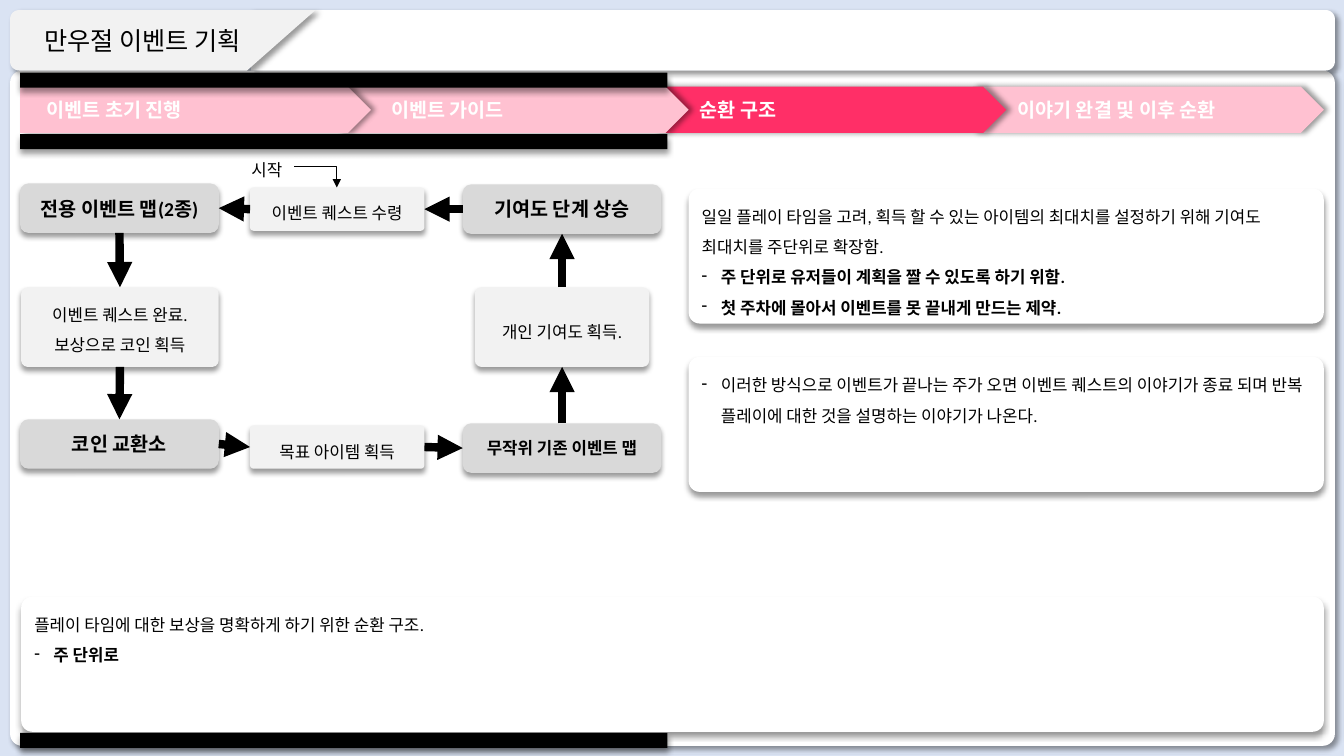
import math
from lxml import etree
from pptx import Presentation
from pptx import util as u
from pptx.dml.color import RGBColor
from pptx.enum import shapes, text
from pptx.oxml.ns import qn

FONT = "Calibri"
BLACK, WHITE, PINK, HOT_PINK = "000000", "FFFFFF", "FFC1D1", "FF2F67"
LIGHT, GREY, PALE_BLUE = "F2F2F2", "D9D9D9", "DAE3F3"
SHAPE, ALIGN, ANCHOR = shapes.MSO_SHAPE, text.PP_ALIGN, text.MSO_ANCHOR
TOP, LEFT, BOTTOM, RIGHT = range(4)  # connection sites of a rounded rectangle
ROUND = 0.082


def color(value):
    return RGBColor.from_string(value)


def add_shadow(sp, angle):
    """Give a shape a soft black shadow cast at the angle in degrees."""
    sp.shadow.inherit = False
    effects = sp._element.spPr.find(qn("a:effectLst"))
    shadow = etree.SubElement(effects, qn("a:outerShdw"), blurRad=str(u.Pt(4)), dist=str(u.Pt(3)),
                              dir=str(angle * 60000), algn="ctr", rotWithShape="0")
    rgb = etree.SubElement(shadow, qn("a:srgbClr"), val=BLACK)
    etree.SubElement(rgb, qn("a:alpha"), val="40000")


def paint(sp, fill, angle):
    sp.line.fill.background()
    if fill is None:
        sp.fill.background()
        sp.shadow.inherit = False
    else:
        sp.fill.solid()
        sp.fill.fore_color.rgb = color(fill)
        add_shadow(sp, angle)


def add_box(s, kind, box, fill, angle=90, adj=None):
    sp = s.shapes.add_shape(kind, *map(u.Inches, box))
    for i, value in enumerate(adj or []):
        sp.adjustments[i] = value
    paint(sp, fill, angle)
    return sp


def write(sp, lines, align=ALIGN.LEFT, anchor=ANCHOR.TOP, spacing=None, left=0.1, **font):
    """Fill a shape with lines; a line starting with "- " becomes a bold or plain bullet."""
    tf = sp.text_frame
    frame = dict(word_wrap=True, auto_size=text.MSO_AUTO_SIZE.NONE, vertical_anchor=anchor,
                 margin_left=u.Inches(left))
    for name, value in frame.items():
        setattr(tf, name, value)
    for i, (line, bold) in enumerate(lines):
        p = tf.add_paragraph() if i else tf.paragraphs[0]
        if line.startswith("- "):
            pPr = p._p.get_or_add_pPr()
            pPr.set("marL", str(u.Inches(0.19)))
            pPr.set("indent", str(-u.Inches(0.19)))
            etree.SubElement(pPr, qn("a:buChar"), char="-")
            line = line[2:]
        p.alignment = align
        if spacing:
            p.line_spacing = spacing
        r = p.add_run()
        r.text = line
        style = dict(name=FONT, size=u.Pt(font.get("size", 12)), bold=bold)
        for name, value in style.items():
            setattr(r.font, name, value)
        r.font.color.rgb = color(font.get("fill", BLACK))


def corner(cx, cy, start, r=0.09):
    """Points of a clockwise quarter circle."""
    angles = [math.radians(start + 15 * i) for i in range(7)]
    return [(cx + r * math.cos(a), cy + r * math.sin(a)) for a in angles]


def add_outline(s, points, fill):
    points = [(u.Inches(px), u.Inches(py)) for px, py in points]
    builder = s.shapes.build_freeform(*points[0])
    builder.add_line_segments(points[1:], close=True)
    paint(builder.convert_to_shape(), fill, 45)


def add_header(s, x, y, w, h, title):
    r, right, bottom = 0.09, x + w, y + h
    add_outline(s, [(x + 2.39, y), *corner(right - r, y + r, 270),
                    *corner(right - r, bottom - r, 0), (x + 2.39, bottom)], WHITE)
    add_outline(s, [(x + 3.03, y), (x + 2.35, bottom), *corner(x + r, bottom - r, 90),
                    *corner(x + r, y + r, 180)], LIGHT)
    sp = s.shapes.title
    sp._element.getparent().append(sp._element)  # bring the title in front of the header
    place = dict(left=x + 0.01, top=y + 0.02, width=2.61, height=h - 0.03)
    for name, value in place.items():
        setattr(sp, name, u.Inches(value))
    write(sp, [(title, False)], ALIGN.CENTER, ANCHOR.MIDDLE, size=18)


def add_steps(s, x, y, w, h, steps, active):
    """Overlapping chevrons, the first one on top."""
    step_w = 3.48
    pitch = (w - step_w) / (len(steps) - 1)
    for i, (label, indent) in reversed(list(enumerate(steps))):
        sp = add_box(s, SHAPE.RIGHT_ARROW, (x + i * pitch, y, step_w, h),
                     HOT_PINK if i == active else PINK, 0, [1, 0.5])
        write(sp, [(label, True)], anchor=ANCHOR.MIDDLE, left=indent, size=14, fill=WHITE)


def add_bars(s, x, w, tops):
    for top in tops:
        add_box(s, SHAPE.RECTANGLE, (x, top, w, 0.15), BLACK)


def add_note(s, box, lines):
    sp = add_box(s, SHAPE.ROUNDED_RECTANGLE, box, WHITE, adj=[ROUND])
    write(sp, lines, spacing=1.5)


def add_arrow(s, kind, width, ends=(0, 0, 0, 0)):
    c = s.shapes.add_connector(kind, *map(u.Inches, ends))
    c.line.color.rgb = color(BLACK)
    c.line.width = u.Pt(width)
    etree.SubElement(c.line._get_or_add_ln(), qn("a:tailEnd"), type="triangle")
    etree.SubElement(c._element.spPr, qn("a:effectLst"))
    return c


def add_place(s, box, label, size=14):
    sp = add_box(s, SHAPE.ROUNDED_RECTANGLE, box, GREY)
    write(sp, [(label, True)], ALIGN.CENTER, ANCHOR.MIDDLE, size=size)
    return sp


def add_action(s, box, label, anchor=ANCHOR.TOP):
    sp = add_box(s, SHAPE.ROUNDED_RECTANGLE, box, LIGHT, adj=[ROUND])
    write(sp, [(label, False)], ALIGN.CENTER, anchor, 1.5)
    return sp


def add_cycle(s, x, y):
    """The loop of places and actions, with its start label at the top."""
    place, action, tall = (1.97, 0.49), (1.73, 0.43), (1.73, 0.79)
    middle, right = x + 2.28, x + 4.39
    event_map = add_place(s, (x, y + 0.39, *place), "전용 이벤트 맵(2종)")
    finish = add_action(s, (x + 0.01, y + 1.42, 1.96, 0.79), "이벤트 퀘스트 완료. 보상으로 코인 획득")
    shop = add_place(s, (x, y + 2.73, *place), "코인 교환소")
    item = add_action(s, (middle, y + 2.79, *action), "목표 아이템 획득")
    old_map = add_place(s, (right, y + 2.77, *place), "무작위 기존 이벤트 맵", 12)
    points = add_action(s, (right + 0.12, y + 1.42, *tall), "개인 기여도 획득.", ANCHOR.MIDDLE)
    level = add_place(s, (right, y + 0.4, *place), "기여도 단계 상승")
    quest = add_action(s, (middle, y + 0.43, *action), "이벤트 퀘스트 수령")
    quest.text_frame.margin_top = quest.text_frame.margin_bottom = u.Inches(0.04)

    loop = [event_map, finish, shop, item, old_map, points, level, quest]
    sides = [BOTTOM, BOTTOM, RIGHT, RIGHT, TOP, TOP, LEFT, LEFT]
    for i, (node, side) in enumerate(zip(loop, sides)):
        c = add_arrow(s, shapes.MSO_CONNECTOR.STRAIGHT, 6)
        c.begin_connect(node, side)
        c.end_connect(loop[(i + 1) % len(loop)], (side + 2) % 4)

    start = add_box(s, SHAPE.ROUNDED_RECTANGLE, (x + 1.98, y, 0.73, 0.43), None, adj=[ROUND])
    write(start, [("시작", False)], ALIGN.RIGHT, spacing=1.5)
    bend = add_arrow(s, shapes.MSO_CONNECTOR.ELBOW, 1, (x + 2.72, y + 0.22, x + 3.14, y + 0.43))
    bend._element.spPr.find(qn("a:prstGeom")).set("prst", "bentConnector2")


def main():
    prs = Presentation()
    prs.slide_width, prs.slide_height = u.Inches(13.33), u.Inches(7.5)
    s = prs.slides.add_slide(prs.slide_layouts[5])
    s.background.fill.solid()
    s.background.fill.fore_color.rgb = color(PALE_BLUE)
    add_box(s, SHAPE.ROUNDED_RECTANGLE, (0.1, 0.7, 13.14, 6.7), WHITE, 45, [0.018])
    add_header(s, 0.1, 0.1, 13.14, 0.6, "만우절 이벤트 기획")
    steps = [("이벤트 초기 진행", 0.26), ("이벤트 가이드", 0.53),
             ("순환 구조", 0.44), ("이야기 완결 및 이후 순환", 0.44)]
    add_steps(s, 0.2, 0.86, 12.93, 0.46, steps, active=2)
    add_bars(s, 0.2, 6.42, [0.72, 1.33, 7.27])
    add_cycle(s, 0.2, 1.43)
    add_note(s, (6.83, 1.87, 6.3, 1.34), [
        ("일일 플레이 타임을 고려, 획득 할 수 있는 아이템의 최대치를 설정하기 위해 기여도 최대치를 주단위로 확장함.", False),
        ("- 주 단위로 유저들이 계획을 짤 수 있도록 하기 위함.", True),
        ("- 첫 주차에 몰아서 이벤트를 못 끝내게 만드는 제약.", True)])
    add_note(s, (6.83, 3.54, 6.3, 1.34), [
        ("- 이러한 방식으로 이벤트가 끝나는 주가 오면 이벤트 퀘스트의 이야기가 종료 되며 "
         "반복 플레이에 대한 것을 설명하는 이야기가 나온다.", False)])
    add_note(s, (0.21, 5.92, 12.92, 1.34), [
        ("플레이 타임에 대한 보상을 명확하게 하기 위한 순환 구조.", False), ("- 주 단위로", True)])
    prs.save("out.pptx")


if __name__ == "__main__":
    main()
